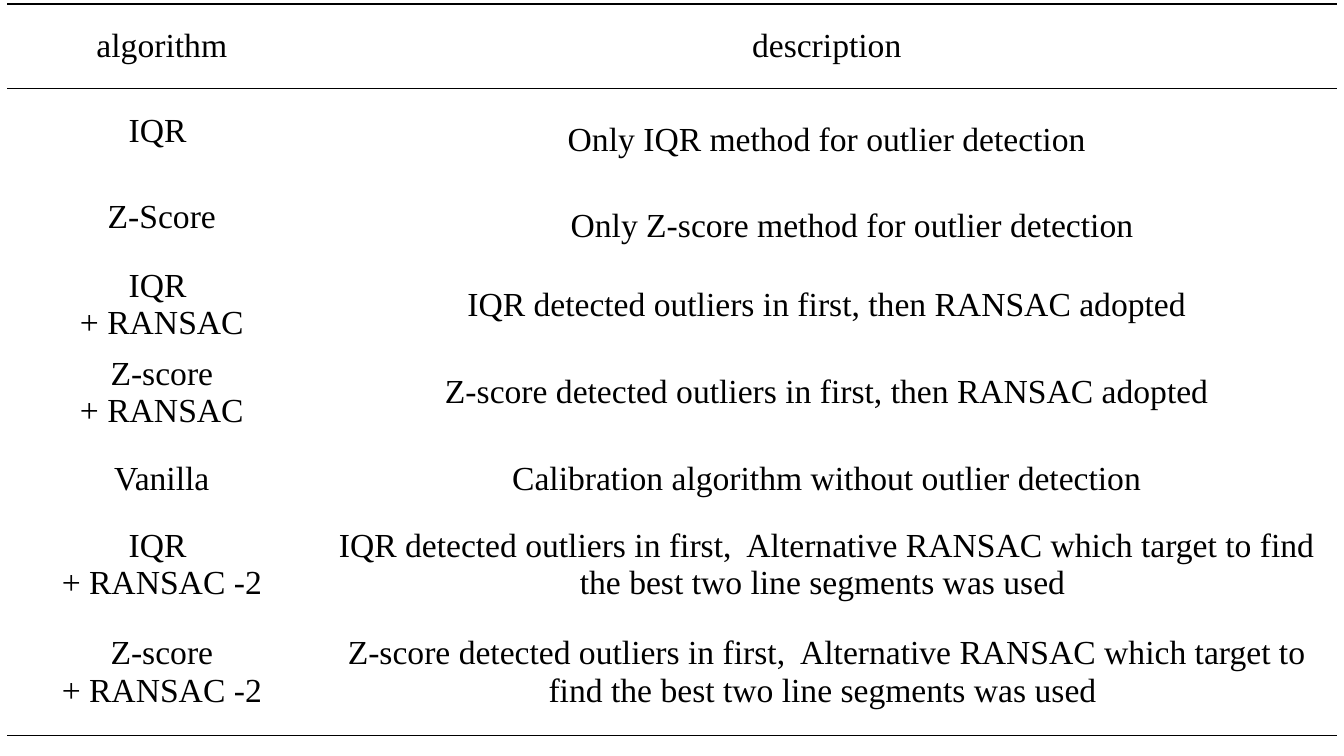
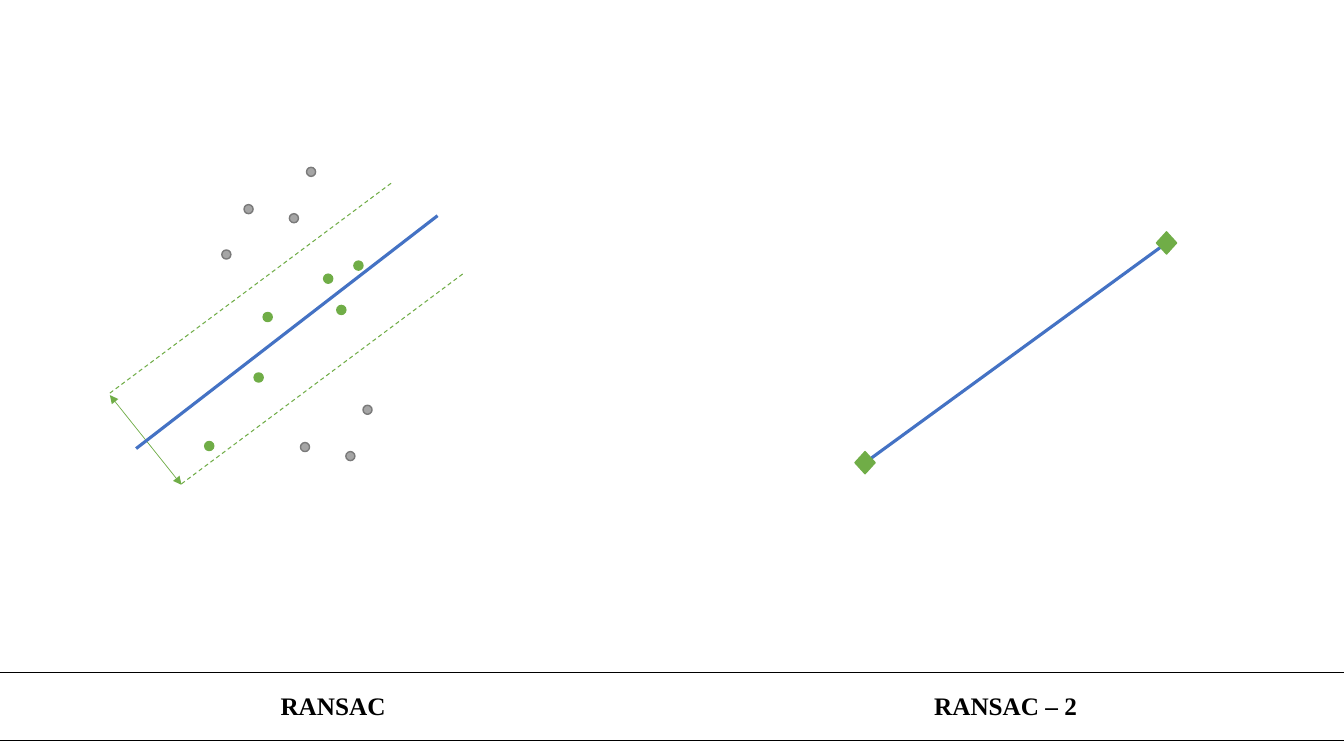
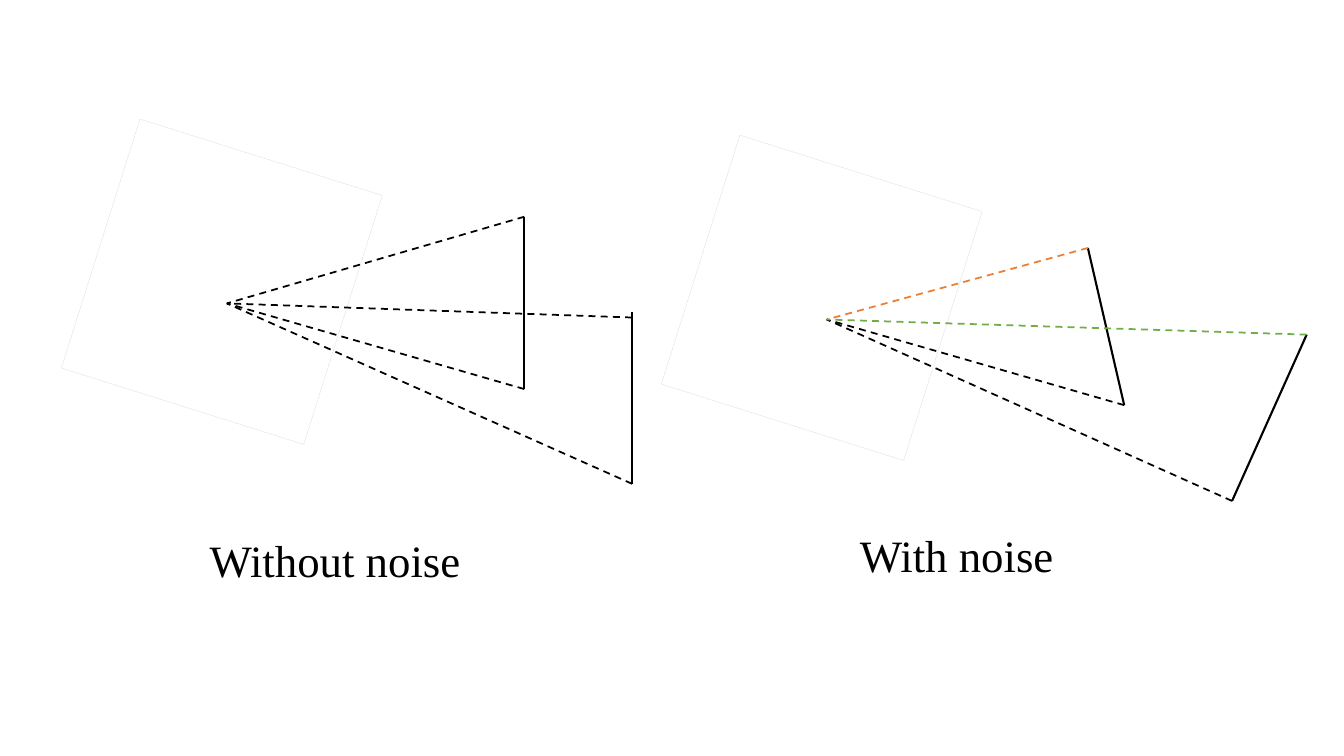
"""Build three slides on outlier detection, RANSAC variants and sensor noise."""
import dataclasses

import lxml.etree
import pptx
import pptx.dml.color
import pptx.enum.dml
import pptx.enum.shapes
import pptx.enum.text
import pptx.oxml.ns
import pptx.util

Inches = pptx.util.Inches
Pt = pptx.util.Pt
Shape = pptx.enum.shapes.MSO_SHAPE
Dash = pptx.enum.dml.MSO_LINE
Anchor = pptx.enum.text.MSO_ANCHOR
Align = pptx.enum.text.PP_ALIGN
qn = pptx.oxml.ns.qn


@dataclasses.dataclass(frozen=True)
class Theme:
    """Colours, font and type sizes shared by the slides."""
    font: str = "Times New Roman"
    ink: str = "000000"
    blue: str = "4472C4"
    green: str = "70AD47"
    orange: str = "ED7D31"
    gray: str = "A5A5A5"
    gray_edge: str = "7A7A7A"
    faint: str = "D9D9D9"
    body_size: int = 24
    label_size: int = 18
    caption_size: int = 32
    rule: float = 1


class Sketch:
    """Hold the deck, its theme and the slide being drawn."""

    def __init__(self, theme):
        """Start an empty widescreen deck."""
        self.theme = theme
        self.deck = pptx.Presentation()
        self.deck.slide_width = Inches(13.33)
        self.deck.slide_height = Inches(7.5)
        self.canvas = None

    def new_page(self):
        """Add a blank page and draw on it."""
        self.page = self.deck.slides.add_slide(self.deck.slide_layouts[6])
        self.canvas = self.page.shapes

    def new_group(self):
        """Draw the next elements inside a new group."""
        self.canvas = self.page.shapes.add_group_shape().shapes

    def colour(self, value):
        """Turn a hex value into a colour."""
        return pptx.dml.color.RGBColor.from_string(value)

    def style_text(self, para, size, bold=False):
        """Give a paragraph the shared font."""
        para.font.name = self.theme.font
        para.font.size = Pt(size)
        para.font.bold = bold
        para.font.color.rgb = self.colour(self.theme.ink)

    def line(self, start, end, colour, width, dashed=False, arrows=False):
        """Draw a straight line, dashed or with arrowheads at both ends."""
        connector = self.canvas.add_connector(
            pptx.enum.shapes.MSO_CONNECTOR.STRAIGHT,
            *(Inches(value) for value in (*start, *end)))
        connector.line.color.rgb = self.colour(colour)
        connector.line.width = Pt(width)
        if dashed:
            connector.line.dash_style = Dash.DASH
        if arrows:
            outline = connector.line._get_or_add_ln()
            for tag in ("a:headEnd", "a:tailEnd"):
                lxml.etree.SubElement(outline, qn(tag), type="triangle")
        lxml.etree.SubElement(connector._element.spPr, qn("a:effectLst"))

    def shape(self, kind, left, top, width, height, fill, edge, edge_width=1):
        """Draw a preset shape; without a fill it is see-through."""
        shape = self.canvas.add_shape(
            kind, Inches(left), Inches(top), Inches(width), Inches(height))
        shape.shadow.inherit = False
        if fill:
            shape.fill.solid()
            shape.fill.fore_color.rgb = self.colour(fill)
        else:
            shape.fill.background()
        shape.line.color.rgb = self.colour(edge)
        shape.line.width = Pt(edge_width)
        return shape

    def dots(self, places, fill, edge):
        """Draw one data point at each place."""
        for left, top in places:
            self.shape(Shape.OVAL, left, top, 0.09, 0.09, fill, edge)

    def caption(self, text, left, top, width):
        """Write a large caption."""
        box = self.page.shapes.add_textbox(
            Inches(left), Inches(top), Inches(width), Inches(0.66))
        box.text_frame.word_wrap = True
        box.text_frame.auto_size = pptx.enum.text.MSO_AUTO_SIZE.SHAPE_TO_FIT_TEXT
        para = box.text_frame.paragraphs[0]
        para.text = text
        self.style_text(para, self.theme.caption_size)

    def borders(self, cell, ruled):
        """Rule the named sides of a cell and clear the others."""
        props = cell._tc.get_or_add_tcPr()
        for index, side in enumerate("LRTB"):
            edge = lxml.etree.Element(qn("a:ln" + side))
            if side in ruled:
                edge.set("w", str(Pt(self.theme.rule)))
                fill = lxml.etree.SubElement(edge, qn("a:solidFill"))
                lxml.etree.SubElement(fill, qn("a:srgbClr"), val=self.theme.ink)
            else:
                edge.set("w", "0")
                lxml.etree.SubElement(edge, qn("a:noFill"))
            props.insert(index, edge)

    def table(self, left, top, widths, heights, rows, size, rules, bold=False):
        """Draw a plain table with rules at the given row boundaries."""
        frame = self.canvas.add_table(
            len(rows), len(widths), Inches(left), Inches(top),
            Inches(sum(widths)), Inches(sum(heights)))
        table = frame.table
        table.first_row = table.horz_banding = False
        for column, width in zip(table.columns, widths):
            column.width = Inches(width)
        for index, (row, height) in enumerate(zip(rows, heights)):
            table.rows[index].height = Inches(height)
            ruled = "T" * (index in rules) + "B" * (index + 1 in rules)
            for cell, text in zip(table.rows[index].cells, row):
                cell.fill.background()
                cell.vertical_anchor = Anchor.MIDDLE
                self.borders(cell, ruled)
                para = cell.text_frame.paragraphs[0]
                para.text = text
                para.alignment = Align.CENTER
                self.style_text(para, size, bold)
        return table


def algorithm_page(sketch):
    """List the algorithms and what each one does."""
    alternative = ("{} detected outliers in first,  Alternative RANSAC which target "
                   "to find the best two line segments was used ")
    adopted = "{} detected outliers in first, then RANSAC adopted"
    rows = [
        ("algorithm", "description"),
        ("IQR ", "Only IQR method for outlier detection"),
        ("Z-Score", "Only Z-score method for outlier detection"),
        ("IQR \n+ RANSAC", adopted.format("IQR")),
        ("Z-score\n+ RANSAC", adopted.format("Z-score")),
        ("Vanilla", "Calibration algorithm without outlier detection"),
        ("IQR \n+ RANSAC -2", alternative.format("IQR")),
        ("Z-score\n+ RANSAC -2", alternative.format("Z-score")),
    ]
    sketch.new_page()
    table = sketch.table(
        0.07, 0.04, (3.07, 10.12),
        (0.84, 0.84, 0.87, 0.87, 0.87, 0.84, 0.87, 1.26),
        rows, sketch.theme.body_size, (0, 1, len(rows)))
    for index in (1, 2):
        para = table.cell(index, 1).text_frame.paragraphs[0]
        para.line_spacing = 1.5
    para.level = 1
    props = para._p.get_or_add_pPr()
    props.set("marL", str(Inches(0.5)))
    props.set("indent", "0")


def ransac_page(sketch):
    """Compare the line fit of RANSAC with the segment of RANSAC – 2."""
    theme = sketch.theme
    sketch.new_page()
    sketch.table(0, 6.67, (6.67, 6.67), (0.68,), [("RANSAC ", "RANSAC – 2 ")],
                 theme.label_size, (0, 1), bold=True)
    segment = ((8.58, 4.59), (11.57, 2.41))
    sketch.line(*segment, theme.blue, 2.25)
    for x, y in segment:
        sketch.shape(Shape.DIAMOND, x - 0.1, y - 0.11, 0.2, 0.22,
                     theme.green, theme.green)
    sketch.line((1.09, 3.92), (1.8, 4.81), theme.green, 0.5, arrows=True)
    for x, y in ((1.09, 3.9), (1.8, 4.8)):
        sketch.line((x, y), (x + 2.8, y - 2.09), theme.green, 0.75, dashed=True)
    outliers = ((2.2, 2.48), (2.98, 4.39), (3.43, 4.48), (3.6, 4.02),
                (2.42, 2.03), (2.87, 2.12), (3.04, 1.66))
    inliers = ((3.21, 2.72), (3.34, 3.03), (3.51, 2.59),
               (2.61, 3.1), (2.03, 4.38), (2.52, 3.7))
    sketch.dots(outliers, theme.gray, theme.gray_edge)
    sketch.dots(inliers, theme.green, theme.green)
    sketch.line((1.35, 4.45), (4.34, 2.14), theme.blue, 2.25)


def noise_page(sketch):
    """Show the sensor's view of two walls without and with noise."""
    theme = sketch.theme
    black = theme.ink
    clean_walls = (((5.2, 2.15), (5.2, 3.86)), ((6.27, 3.1), (6.27, 4.8)))
    clean_rays = (((5.2, 2.15), black), ((5.2, 3.86), black),
                  ((6.27, 4.8), black), ((6.27, 3.15), black))
    noisy_walls = (((10.79, 2.46), (11.15, 4.02)), ((12.96, 3.32), (12.22, 4.97)))
    noisy_rays = (((10.79, 2.46), theme.orange), ((11.15, 4.02), black),
                  ((12.22, 4.97), black), ((12.96, 3.32), theme.green))
    views = (((2.25, 3.01), clean_walls, clean_rays),
             ((8.2, 3.17), noisy_walls, noisy_rays))
    sketch.new_page()
    for sensor, walls, rays in views:
        sketch.new_group()
        body = sketch.shape(Shape.RECTANGLE, sensor[0] - 1.31, sensor[1] - 1.51,
                            2.52, 2.59, None, theme.faint, 0.25)
        body.rotation = 17.5
        body.line.dash_style = Dash.ROUND_DOT
        for start, end in walls:
            sketch.line(start, end, black, 1.5)
        for target, colour in rays:
            sketch.line(target, sensor, colour, 1.25, dashed=True)
    sketch.caption("With noise", 8.43, 5.19, 2.13)
    sketch.caption("Without noise", 1.98, 5.24, 2.77)


def main():
    """Draw the pages and save the deck."""
    sketch = Sketch(Theme())
    algorithm_page(sketch)
    ransac_page(sketch)
    noise_page(sketch)
    sketch.deck.save("out.pptx")


if __name__ == "__main__":
    main()
